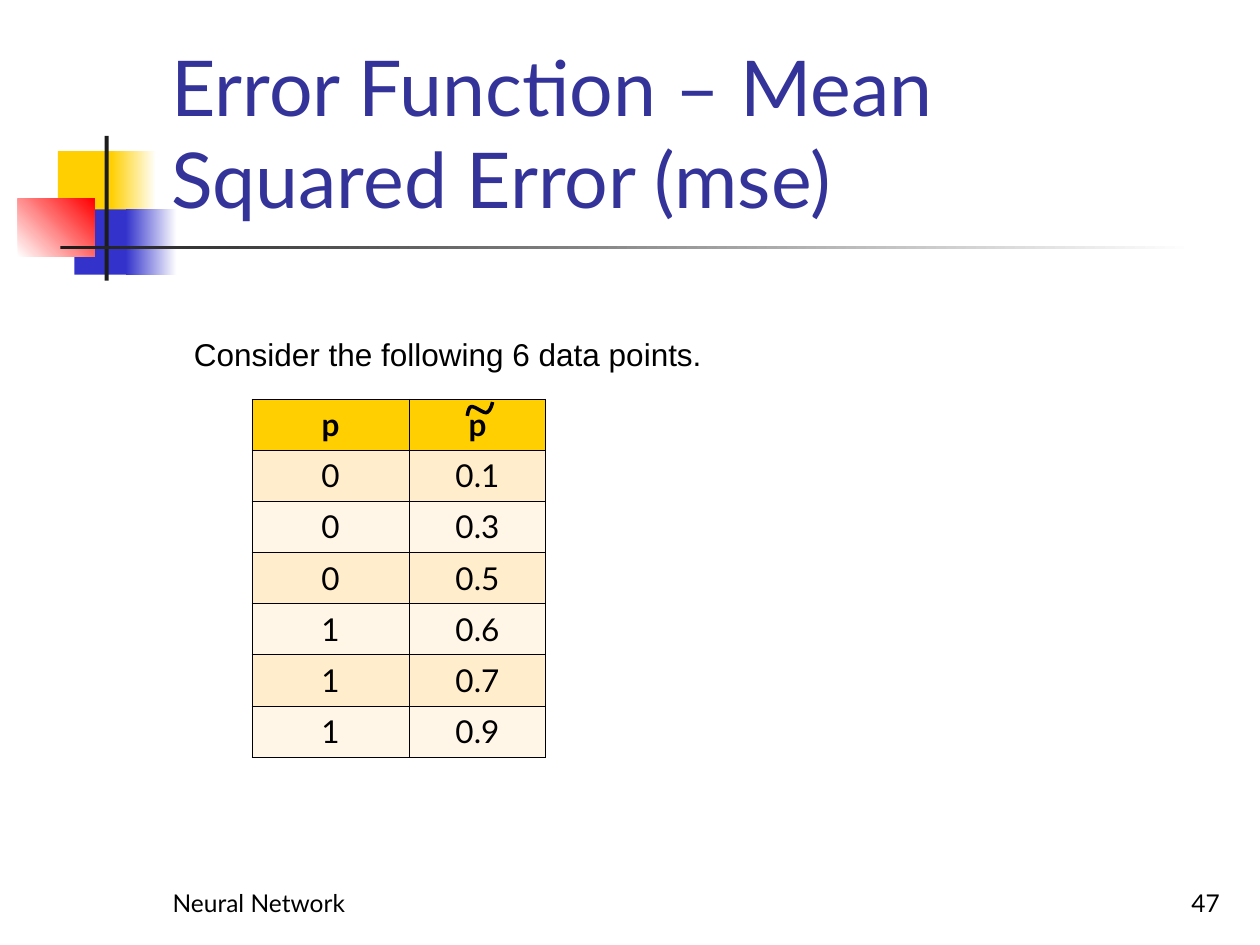
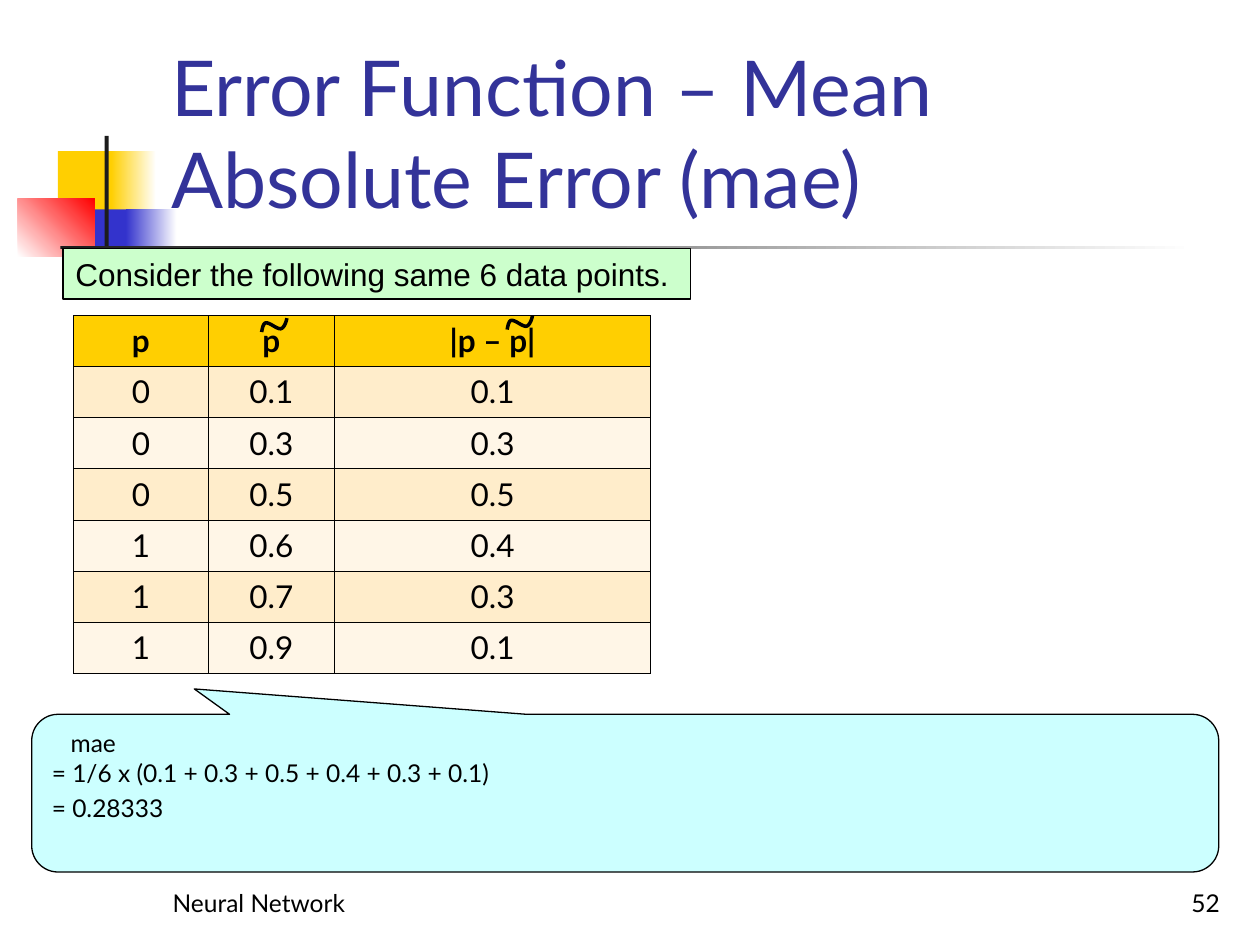
from dataclasses import dataclass

from lxml import etree
from pptx import Presentation
from pptx import util as u
from pptx.dml import color
from pptx.enum import shapes, text
from pptx.oxml import ns

Cm, Pt = u.Cm, u.Pt
Kind = shapes.MSO_SHAPE


@dataclass(frozen=True)
class Theme:
    head_font: str = "Lato"
    label_font: str = "Arial"
    title_size: int = 44
    body_size: int = 18
    small_size: int = 14
    title: str = "333399"
    ink: str = "000000"
    bar: str = "1C1C1C"
    white: str = "FFFFFF"
    yellow: str = "FFCF01"
    blue: str = "3333CC"
    red: str = "FF0000"
    bands: tuple = ("FFEDCB", "FFF6E7")
    green: str = "CCFFCC"
    cyan: str = "CCFFFF"


THEME = Theme()

# Content; boxes are left, top, width, height in cm
FOOTER = "Neural Network"
POINTS = [("0", "0.1"), ("0", "0.3"), ("0", "0.5"),
          ("1", "0.6"), ("1", "0.7"), ("1", "0.9")]
ERRORS = ["0.1", "0.3", "0.5", "0.4", "0.3", "0.1"]

# A tilde is: column, shift right of the column centre, drop below the table top
PAGES = [
    {
        "title": "Error Function – Mean Squared Error (mse)",
        "number": "47",
        "label": "Consider the following 6 data points.",
        "label_box": (3.66, 6.63, 10.92, 1.02),
        "rows": [("p", "p"), *POINTS],
        "corner": (5.08, 8.05),
        "columns": (3.17, 2.75),
        "tildes": [(1, 0.05, 0.1)],
    },
    {
        "title": "Error Function – Mean Absolute Error (mae)",
        "number": "52",
        "label": "Consider the following same 6 data points.",
        "label_box": (1.27, 5.01, 12.65, 1.02),
        "label_fill": THEME.green,
        "rows": [("p", "p", "|p – p|"),
                 *[(*point, error) for point, error in zip(POINTS, ERRORS)]],
        "corner": (1.48, 6.36),
        "columns": (2.72, 2.54, 6.38),
        "tildes": [(1, 0.06, 0.1), (2, 0.55, 0.05)],
        # text, left indent in cm, space before in points
        "callout": [("mae", 0.38, 0),
                    ("= 1/6 x (0.1 + 0.3 + 0.5 + 0.4 + 0.3 + 0.1)", 0, 0),
                    ("= 0.28333", 0, 3.5)],
    },
]

# Corner ornament: box, start colour, end colour (None is plain), angle
ORNAMENT = [
    ((1.17, 3.05, 1.22, 1.32), THEME.yellow, None, 0),
    ((2.24, 3.05, 0.91, 1.32), THEME.yellow, THEME.white, 0),
    ((1.5, 4.22, 1.17, 1.32), THEME.blue, None, 0),
    ((2.54, 4.22, 1.02, 1.32), THEME.blue, THEME.white, 0),
    ((0.36, 4.01, 1.55, 1.17), THEME.white, THEME.red, 45),
    ((2.11, 2.74, 0.08, 2.92), THEME.bar, None, 0),
    ((1.22, 4.95, 22.86, 0.08), THEME.bar, THEME.white, 0),
]
TITLE_BOX = (3.2, 0.58, 21.64, 4.06)
FOOTER_BOX = (3.23, 17.35, 5.28, 1.27)
NUMBER_BOX = (19.56, 17.35, 5.28, 1.27)
CALLOUT_BOX = (0.64, 14.4, 23.93, 3.18)
CALLOUT_ADJUSTMENTS = (-0.363, -0.661, 0.167)
ROW_HEIGHT = 1.03

# Tilde outline: three cubic curves that share their end points
TILDE_WIDTH = 0.55
TILDE_CURVES = [
    ((0, 0.19), (0.03, 0.11), (0.06, 0.03), (0.11, 0.02)),
    ((0.11, 0.02), (0.19, 0.02), (0.32, 0.19), (0.39, 0.19)),
    ((0.39, 0.19), (0.46, 0.19), (0.53, 0.06), (0.55, 0)),
]


def rgb(value):
    return color.RGBColor.from_string(value)


def place(box):
    return [Cm(length) for length in box]


def paint(shape, fill, line=None, end=None, angle=0):
    """Fill a shape plainly or from one colour to another, and outline it."""
    shape.shadow.inherit = False
    if end:
        shape.fill.gradient()
        shape.fill.gradient_angle = angle
        for stop, shade in zip(shape.fill.gradient_stops, (fill, end)):
            stop.color.rgb = rgb(shade)
    else:
        shape.fill.solid()
        shape.fill.fore_color.rgb = rgb(fill)
    if line:
        shape.line.color.rgb = rgb(line)
        shape.line.width = Pt(0.75)
    else:
        shape.line.fill.background()


def style(para, size, shade=THEME.ink, name=THEME.head_font,
          align=text.PP_ALIGN.LEFT, bold=False):
    para.alignment = align
    para.font.name = name
    para.font.size = Pt(size)
    para.font.bold = bold
    para.font.color.rgb = rgb(shade)


def add_text(page, box, words, size, anchor=text.MSO_ANCHOR.BOTTOM, **looks):
    shape = page.shapes.add_textbox(*place(box))
    frame = shape.text_frame
    frame.word_wrap = True
    frame.vertical_anchor = anchor
    frame.text = words
    style(frame.paragraphs[0], size, **looks)
    return shape


def add_frame(page, title, number):
    """Ornament, title and footer, alike on every page."""
    for box, fill, end, angle in ORNAMENT:
        block = page.shapes.add_shape(Kind.RECTANGLE, *place(box))
        paint(block, fill, end=end, angle=angle)
    add_text(page, TITLE_BOX, title, THEME.title_size, shade=THEME.title)
    add_text(page, FOOTER_BOX, FOOTER, THEME.small_size)
    add_text(page, NUMBER_BOX, number, THEME.small_size,
             align=text.PP_ALIGN.RIGHT)


def add_borders(cell):
    properties = cell._tc.get_or_add_tcPr()
    for index, side in enumerate(("lnL", "lnR", "lnT", "lnB")):
        line = etree.Element(ns.qn(f"a:{side}"), w=str(Pt(0.45)))
        fill = etree.SubElement(line, ns.qn("a:solidFill"))
        etree.SubElement(fill, ns.qn("a:srgbClr"), val=THEME.ink)
        properties.insert(index, line)


def add_data_table(page, rows, corner, columns):
    size = (sum(columns), ROW_HEIGHT * len(rows))
    table = page.shapes.add_table(
        len(rows), len(columns), *place(corner + size)).table
    for column, width in zip(table.columns, columns):
        column.width = Cm(width)
    for r, values in enumerate(rows):
        table.rows[r].height = Cm(ROW_HEIGHT)
        for c, value in enumerate(values):
            cell = table.cell(r, c)
            cell.text = value
            style(cell.text_frame.paragraphs[0], THEME.body_size,
                  align=text.PP_ALIGN.CENTER, bold=r == 0)
            cell.fill.solid()
            cell.fill.fore_color.rgb = rgb(
                THEME.bands[(r - 1) % 2] if r else THEME.yellow)
            add_borders(cell)


def curve_points(curve, steps=8):
    for step in range(1, steps + 1):
        t = step / steps
        weights = ((1 - t) ** 3, 3 * t * (1 - t) ** 2, 3 * t * t * (1 - t), t ** 3)
        yield tuple(Cm(sum(w * point[axis] for w, point in zip(weights, curve)))
                    for axis in (0, 1))


def add_tilde(page, left, top):
    start = TILDE_CURVES[0][0]
    builder = page.shapes.build_freeform(Cm(start[0]), Cm(start[1]))
    points = [point for curve in TILDE_CURVES for point in curve_points(curve)]
    builder.add_line_segments(points, close=False)
    tilde = builder.convert_to_shape(Cm(left), Cm(top))
    tilde.rotation = 350.3
    tilde.shadow.inherit = False
    tilde.fill.background()
    tilde.line.color.rgb = rgb(THEME.ink)
    tilde.line.width = Pt(2)


def add_callout(page, lines):
    callout = page.shapes.add_shape(
        Kind.ROUNDED_RECTANGULAR_CALLOUT, *place(CALLOUT_BOX))
    for index, value in enumerate(CALLOUT_ADJUSTMENTS):
        callout.adjustments[index] = value
    paint(callout, THEME.cyan, THEME.ink)
    frame = callout.text_frame
    frame.word_wrap = True
    frame.vertical_anchor = text.MSO_ANCHOR.TOP
    frame.text = "\n".join(words for words, _, _ in lines)
    for para, (_, indent, before) in zip(frame.paragraphs, lines):
        para._p.get_or_add_pPr().set("marL", str(Cm(indent)))
        if before:
            para.space_before = Pt(before)
        style(para, THEME.small_size)


def add_page(deck, content):
    page = deck.slides.add_slide(deck.slide_layouts[6])
    add_frame(page, content["title"], content["number"])

    # Table with its tildes
    left, top = content["corner"]
    columns = content["columns"]
    add_data_table(page, content["rows"], content["corner"], columns)
    for column, shift, drop in content["tildes"]:
        centre = left + sum(columns[:column]) + columns[column] / 2
        add_tilde(page, centre + shift - TILDE_WIDTH / 2, top + drop)

    # Result and label
    if "callout" in content:
        add_callout(page, content["callout"])
    label = add_text(page, content["label_box"], content["label"],
                     THEME.body_size, text.MSO_ANCHOR.TOP, name=THEME.label_font)
    if "label_fill" in content:
        paint(label, content["label_fill"], THEME.ink)


def main():
    deck = Presentation()
    deck.slide_width, deck.slide_height = Cm(25.4), Cm(19.05)
    for content in PAGES:
        add_page(deck, content)
    deck.save("out.pptx")


if __name__ == "__main__":
    main()
